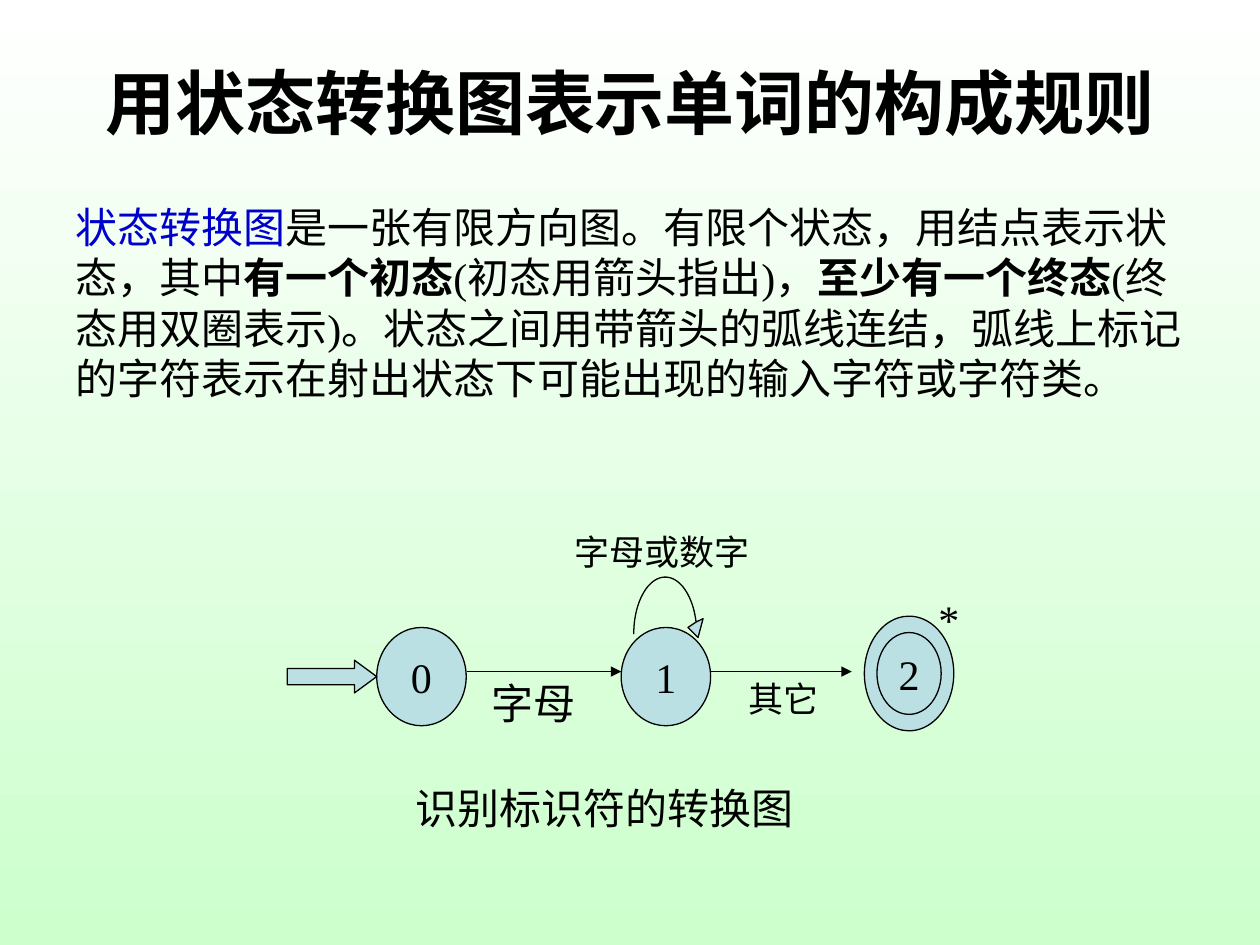
import math
import pptx
import pptx.util
import pptx.dml.color
import pptx.enum.shapes
import pptx.enum.text
import pptx.oxml
import pptx.oxml.ns

Inches, Pt = pptx.util.Inches, pptx.util.Pt
SHAPE = pptx.enum.shapes.MSO_SHAPE
MIDDLE = pptx.enum.text.MSO_ANCHOR.MIDDLE
CENTER = pptx.enum.text.PP_ALIGN.CENTER
INK, NODE_FILL, TERM = "000000", "BBE0E3", "0000CC"


def color(hex_string):
    return pptx.dml.color.RGBColor.from_string(hex_string)


def write(shape, text, size=24, font="Times New Roman", before=0, align=None,
          anchor=pptx.enum.text.MSO_ANCHOR.TOP, wrap=True):
    frame = shape.text_frame
    frame.word_wrap = wrap
    frame.vertical_anchor = anchor
    paragraph = frame.paragraphs[0]
    paragraph.alignment = align
    paragraph.space_before = Pt(before)
    runs = [(text, INK, False)] if isinstance(text, str) else text
    for words, ink, bold in runs:
        run = paragraph.add_run()
        run.text = words
        run.font.size = Pt(size)
        run.font.name = font
        run.font.bold = bold
        run.font.color.rgb = color(ink)


deck = pptx.Presentation()
deck.slide_width, deck.slide_height = Inches(10), Inches(7.5)
slide = deck.slides.add_slide(deck.slide_layouts[5])
shapes = slide.shapes

backdrop = slide.background.fill
backdrop.gradient()
backdrop.gradient_angle = 270
for stop, position, tint in zip(backdrop.gradient_stops, (0, 1), ("FFFFFF", "CCFFCC")):
    stop.position = position
    stop.color.rgb = color(tint)

title = shapes.title
title.left, title.top, title.width, title.height = map(Inches, (0.5, 0.3, 9, 1.01))
write(title, [("用状态转换图表示单词的构成规则", INK, True)], size=40, font="Arial",
      align=CENTER, anchor=MIDDLE)

definition = [
    ("状态转换图", TERM, False),
    ("是一张有限方向图。有限个状态，用结点表示状态，其中", INK, False),
    ("有一个初态", INK, True),
    ("(初态用箭头指出)，", INK, False),
    ("至少有一个终态", INK, True),
    ("(终态用双圈表示)。状态之间用带箭头的弧线连结，弧线上标记的字符表示在射出状态下可能出现的输入字符或字符类。", INK, False),
]
captions = [
    (definition, 0.5, 1.55, 9, 1.7, 24, 15, True),
    ("识别标识符的转换图", 3.2, 6.16, 4.18, 0.5, 24, 15, True),
    ("字母", 3.8, 5.33, 1.43, 0.5, 24, 15, True),
    ("字母或数字", 4.46, 4.16, 2.13, 0.44, 20, 12.5, True),
    ("其它", 5.84, 5.33, 1.32, 0.44, 20, 12.5, True),
    ("*", 7.35, 4.66, 0.36, 0.5, 24, 0, False),
]
for text, left, top, width, height, size, before, wrap in captions:
    caption = shapes.add_textbox(*map(Inches, (left, top, width, height)))
    write(caption, text, size=size, before=before, wrap=wrap)

diagram = []
states = [
    ("", 6.86, 4.89, 0.71, 0.91),
    ("0", 2.99, 4.98, 0.71, 0.78),
    ("1", 4.93, 4.98, 0.71, 0.78),
    ("2", 6.96, 5.02, 0.51, 0.65),
]
for label, *box in states:
    state = shapes.add_shape(SHAPE.OVAL, *map(Inches, box))
    if label:
        write(state, label, align=CENTER, anchor=MIDDLE, wrap=False)
    diagram.append(state)

start_arrow = shapes.add_shape(SHAPE.RIGHT_ARROW, *map(Inches, (2.28, 5.24, 0.71, 0.26)))
start_arrow.adjustments[1] = 0.68
diagram.append(start_arrow)

arc = []
for degrees in range(180, 11, -4):
    angle = math.radians(degrees)
    arc.append((Inches(5.28 + 0.25 * math.cos(angle)), Inches(5.03 - 0.45 * math.sin(angle))))
arrowhead = [(Inches(x), Inches(y)) for x, y in ((5.58, 4.91), (5.54, 5.06), (5.46, 4.98))]
outline = shapes.build_freeform(*arc[0])
outline.add_line_segments(arc[1:] + arrowhead + arc[::-1], close=True)
diagram.append(outline.convert_to_shape())

for part in diagram:
    part.shadow.inherit = False
    part.fill.solid()
    part.fill.fore_color.rgb = color(NODE_FILL)
    part.line.color.rgb = color(INK)
    part.line.width = Pt(0.75)

for begin, end in ((3.71, 4.93), (5.64, 6.76)):
    transition = shapes.add_connector(pptx.enum.shapes.MSO_CONNECTOR.STRAIGHT,
                                      Inches(begin), Inches(5.33), Inches(end), Inches(5.33))
    transition.line.color.rgb = color(INK)
    transition.line.width = Pt(0.75)
    tip = pptx.oxml.parse_xml(f'<a:tailEnd {pptx.oxml.ns.nsdecls("a")} type="triangle"/>')
    transition.line._get_or_add_ln().append(tip)
    no_shadow = pptx.oxml.parse_xml(f'<a:effectLst {pptx.oxml.ns.nsdecls("a")}/>')
    transition._element.spPr.append(no_shadow)

deck.save("out.pptx")
